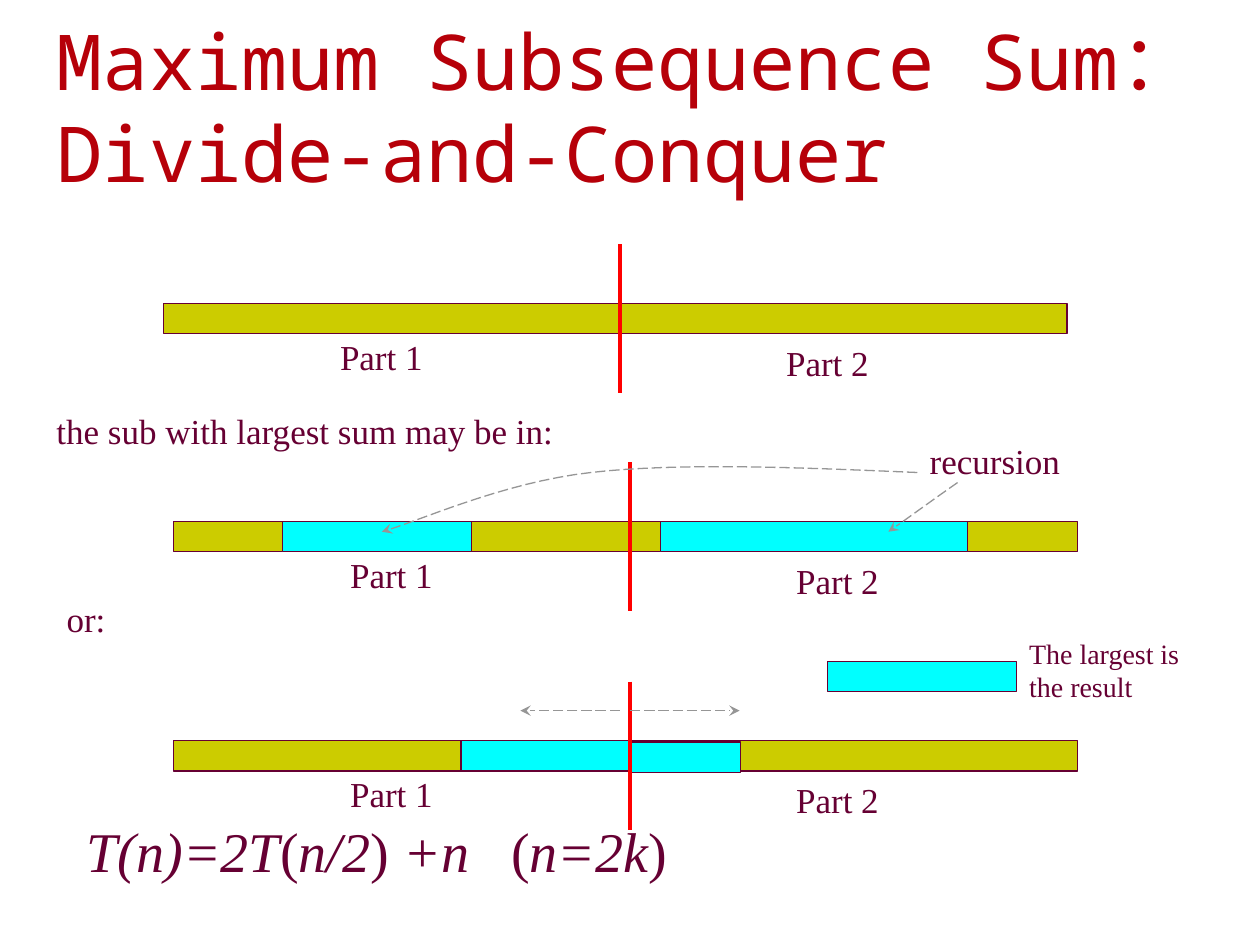
from lxml.etree import SubElement
from pptx import Presentation
from pptx.dml.color import RGBColor as Color
from pptx.enum.dml import MSO_LINE as Dash
from pptx.enum.shapes import MSO_CONNECTOR as Connector, MSO_SHAPE as Shape
from pptx.enum.text import MSO_ANCHOR as Anchor, PP_ALIGN as Align
from pptx.oxml.ns import qn
from pptx.util import Pt

PX = 9144
COLORS = {"title": "B60009", "text": "660033", "bar": "CCCC00",
          "highlight": "00FFFF", "divider": "FF0000", "arrow": "969696"}
BODY = {"name": "Times New Roman", "size": Pt(20)}
TITLE = {"name": "Noto Sans Mono", "size": Pt(44)}
ROWS = [
    (130, 241, []),
    (138, 414, [(86, 0, 150), (386, 0, 244)]),
    (138, 588, [(228, 0, 134), (362, 1, 88)]),
]
FORMULA = [("T(n)=2T", True), ("(", False), ("n/2", True), (")", False),
           (" +n\t", True), ("(", False), ("n=2k", True), (")", False)]


def px(*lengths):
    """Turn px lengths into EMU."""
    return [round(length * PX) for length in lengths]


def format_font(font, values, color):
    """Set the font attributes and colour."""
    for name, value in values.items():
        setattr(font, name, value)
    font.color.rgb = Color.from_string(COLORS[color])


def format_line(line, color, width):
    """Set the colour and width of a line."""
    line.color.rgb = Color.from_string(COLORS[color])
    line.width = Pt(width)


def add_text(slide, box, runs, **changes):
    """Add a text box of (text, italic) runs and return its paragraph."""
    frame = slide.shapes.add_textbox(*px(*box)).text_frame
    frame.word_wrap = True
    paragraph = frame.paragraphs[0]
    for text, italic in runs:
        run = paragraph.add_run()
        run.text = text
        format_font(run.font, {**BODY, **changes, "italic": italic}, "text")
    return paragraph


def add_bar(slide, left, top, width, color):
    """Add one bar of the common height."""
    bar = slide.shapes.add_shape(Shape.RECTANGLE, *px(left, top, width, 24))
    bar.shadow.inherit = False
    bar.fill.solid()
    bar.fill.fore_color.rgb = Color.from_string(COLORS[color])
    format_line(bar.line, "text", 0.75)


def add_line(slide, start, end, color, width):
    """Add a straight connector without a shadow."""
    line = slide.shapes.add_connector(Connector.STRAIGHT, *px(*start, *end))
    format_line(line.line, color, width)
    SubElement(line.line._get_or_add_ln().getparent(), qn("a:effectLst"))
    return line


def make_arrow(shape):
    """Give a line or curve dashes and a stealth head at its end."""
    format_line(shape.line, "arrow", 0.75)
    shape.line.dash_style = Dash.LONG_DASH
    SubElement(shape.line._get_or_add_ln(), qn("a:tailEnd"), type="stealth")


def add_curved_arrow(slide, start, *curves):
    """Add an arrow that follows a chain of cubic curves."""
    steps, points, current = 16, [], start
    for first, second, end in curves:
        for step in range(1, steps + 1):
            t = step / steps
            weights = (1 - t) ** 3, 3 * t * (1 - t) ** 2, 3 * t * t * (1 - t), t ** 3
            points.append(px(*(sum(w * p[axis] for w, p in zip(weights, (current, first, second, end)))
                               for axis in (0, 1))))
        current = end
    builder = slide.shapes.build_freeform(*px(*start))
    builder.add_line_segments(points, close=False)
    curve = builder.convert_to_shape()
    curve.shadow.inherit = False
    curve.fill.background()
    make_arrow(curve)


def add_title(slide, box, text):
    """Place the title placeholder in the box."""
    title = slide.shapes.title
    for name, value in zip(("left", "top", "width", "height"), px(*box)):
        setattr(title, name, value)
    frame = title.text_frame
    frame.text = text
    frame.vertical_anchor = Anchor.BOTTOM
    frame.paragraphs[0].alignment = Align.LEFT
    format_font(frame.paragraphs[0].runs[0].font, TITLE, "title")


def add_row(slide, left, top, highlights):
    """Draw a divided sequence with its highlights and part labels."""
    add_bar(slide, left, top, 717, "bar")
    for offset, drop, width in highlights:
        add_bar(slide, left + offset, top + drop, width, "highlight")
    middle = left + 362
    add_line(slide, (middle, top - 47), (middle, top + 71), "divider", 2.25)
    for text, x, y in (("Part 1", 130, 20), ("Part 2", 484, 25)):
        add_text(slide, (left + x, top + y, 102, 44), [(text, False)])


def add_recursion(slide, left, top):
    """Add the recursion label with arrows to both halves."""
    add_text(slide, (left, top, 236, 44), [("recursion", False)])
    curves = [
        [(32, 39), ((9, 55), (-14, 72), (-23, 78))],
        [(0, 31), ((-94, 27), (-189, 23), (-259, 31)), ((-330, 39), (-396, 70), (-425, 78))],
    ]
    for start, *parts in curves:
        add_curved_arrow(slide, (left + start[0], top + start[1]),
                         *([(left + x, top + y) for x, y in part] for part in parts))


def add_spread(slide, middle, top):
    """Add the two arrows that point away from the divider."""
    for start, end in ((-8, -87), (0, 87)):
        make_arrow(add_line(slide, (middle + start, top), (middle + end, top), "arrow", 0.75))


def add_legend(slide, left, top):
    """Add the highlight key and its caption."""
    add_bar(slide, left, top + 25, 150, "highlight")
    add_text(slide, (left + 150, top, 158, 64), [("The largest is the result", False)], size=Pt(16))


def add_formula(slide, box):
    """Add the recurrence, its condition set off by a tab stop."""
    paragraph = add_text(slide, box, FORMULA, size=Pt(32))
    stops = SubElement(paragraph._p.get_or_add_pPr(), qn("a:tabLst"))
    SubElement(stops, qn("a:tab"), pos=str(px(337)[0]), algn="l")


def main():
    """Build and save the slide."""
    presentation = Presentation()
    presentation.slide_width, presentation.slide_height = px(1000, 750)
    slide = presentation.slides.add_slide(presentation.slide_layouts[5])
    add_title(slide, (35, 4, 945, 158), "Maximum Subsequence Sum：Divide-and-Conquer")
    for left, top, highlights in ROWS:
        add_row(slide, left, top, highlights)
    add_text(slide, (35, 320, 543, 44), [("the sub with largest sum may be in:", False)])
    add_text(slide, (43, 469, 126, 44), [("or:", False)])
    add_recursion(slide, 728, 344)
    add_spread(slide, 500, 564)
    add_legend(slide, 657, 500)
    add_formula(slide, (59, 643, 490, 64))
    presentation.save("out.pptx")


if __name__ == "__main__":
    main()
